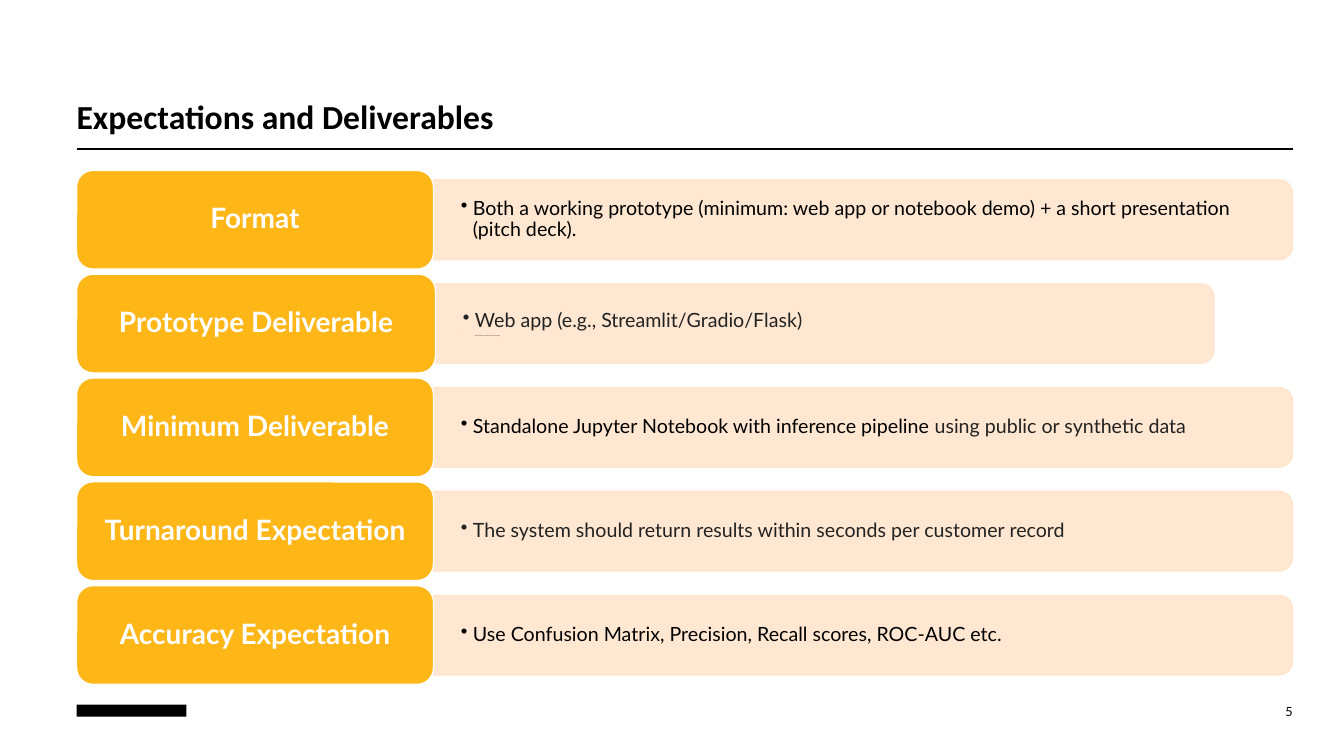
from lxml import etree
from pptx import Presentation, util as u
from pptx.dml.color import RGBColor
from pptx.enum import shapes, text
from pptx.oxml import ns

COLORS = {"black": "000000", "dark": "222222", "white": "FFFFFF",
          "amber": "FFB617", "peach": "FFE5CC"}
TITLE = {"size": u.Pt(24), "name": "Calibri", "bold": True}
LABEL = {"size": u.Pt(20), "name": "Lato", "bold": True}
BODY = {"size": u.Pt(14), "name": "Lato"}
TINY = {"size": u.Pt(1), "name": "Lato"}
NUMBER = {"size": u.Pt(9), "name": "Lato"}

ROWS = [
    ("Format", 3.54, 8.52, [[
        ("Both a working prototype (minimum: web app or notebook demo) + "
         "a short presentation (pitch deck).", BODY, "black")]]),
    ("Prototype Deliverable", 3.56, 7.72, [
        [("Web app (e.g., Streamlit/Gradio/Flask)", BODY, "dark")],
        [("API endpoint or notebook for backend logic ", TINY, "dark")]]),
    ("Minimum Deliverable", 3.54, 8.52, [[
        ("Standalone Jupyter Notebook with inference pipeline", BODY, "black"),
        (" using public or synthetic data", BODY, "dark")]]),
    ("Turnaround Expectation", 3.54, 8.52, [[
        ("The system should return results within seconds per customer record",
         BODY, "dark")]]),
    ("Accuracy Expectation", 3.54, 8.52, [[
        ("Use Confusion Matrix, Precision, Recall scores, ROC-AUC etc.",
         BODY, "black")]]),
]
LEFT, TOP, PITCH = 0.76, 1.69, 1.03
LABEL_H, BAND_H, TEXT_H = 0.98, 0.79, 0.71


def write(sp, paragraphs, anchor, align, margins=(0, 0), bullet=False):
    tf = sp.text_frame
    tf.word_wrap = True
    tf.vertical_anchor = anchor
    tf.margin_left = tf.margin_right = u.Inches(margins[0])
    tf.margin_top = tf.margin_bottom = u.Inches(margins[1])
    for i, runs in enumerate(paragraphs):
        p = tf.paragraphs[0] if i == 0 else tf.add_paragraph()
        p.alignment = align
        p.line_spacing = 0.9
        if i < len(paragraphs) - 1:
            p.space_after = u.Pt(2)
        if bullet:
            pPr = p._p.get_or_add_pPr()
            pPr.set("marL", str(u.Inches(0.12)))
            pPr.set("indent", str(u.Inches(-0.12)))
            etree.SubElement(pPr, ns.qn("a:buChar"), char="•")
        for words, style, color in runs:
            r = p.add_run()
            r.text = words
            for name, value in style.items():
                setattr(r.font, name, value)
            r.font.color.rgb = RGBColor.from_string(COLORS[color])


def add_box(kind, left, top, width, height, fill, line=None, alpha=None):
    sp = s.shapes.add_shape(kind, *map(u.Inches, (left, top, width, height)))
    sp.shadow.inherit = False
    sp.fill.solid()
    sp.fill.fore_color.rgb = RGBColor.from_string(COLORS[fill])
    if line:
        sp.line.color.rgb = RGBColor.from_string(COLORS[line])
        sp.line.width = u.Pt(1)
    else:
        sp.line.fill.background()
    if alpha:
        for clr in sp._element.spPr.iter(ns.qn("a:srgbClr")):
            etree.SubElement(clr, ns.qn("a:alpha"), val=str(alpha * 1000))
    return sp


prs = Presentation()
prs.slide_width = u.Inches(13.33)
prs.slide_height = u.Inches(7.5)
s = prs.slides.add_slide(prs.slide_layouts[6])

rule = s.shapes.add_connector(shapes.MSO_CONNECTOR.STRAIGHT, u.Inches(LEFT),
                              u.Inches(1.48), u.Inches(12.82), u.Inches(1.48))
rule.line.color.rgb = RGBColor.from_string(COLORS["black"])
rule.line.width = u.Pt(1)
etree.SubElement(rule._element.spPr, ns.qn("a:effectLst"))

add_box(shapes.MSO_SHAPE.RECTANGLE, LEFT, 6.99, 1.09, 0.12, "black")

number = s.shapes.add_textbox(*map(u.Inches, (12.28, 6.99, 0.54, 0.15)))
write(number, [[("5", NUMBER, "black")]],
      text.MSO_ANCHOR.MIDDLE, text.PP_ALIGN.RIGHT)

title = s.shapes.add_textbox(*map(u.Inches, (LEFT, 0.39, 8.85, 0.97)))
write(title, [[("Expectations and Deliverables", TITLE, "black")]],
      text.MSO_ANCHOR.BOTTOM, text.PP_ALIGN.LEFT)

for i, (name, label_w, band_w, paragraphs) in enumerate(ROWS):
    top = TOP + i * PITCH
    middle = top + LABEL_H / 2
    band_left = LEFT + label_w

    band = add_box(shapes.MSO_SHAPE.ROUND_2_SAME_RECTANGLE,
                   band_left + (band_w - BAND_H) / 2, middle - band_w / 2,
                   BAND_H, band_w, "peach", "peach", 90)
    band.rotation = 90

    detail = s.shapes.add_textbox(*map(u.Inches, (
        band_left, middle - TEXT_H / 2, band_w - 0.04, TEXT_H)))
    write(detail, paragraphs, text.MSO_ANCHOR.MIDDLE, text.PP_ALIGN.LEFT,
          (0.27, 0.14), True)

    label = add_box(shapes.MSO_SHAPE.ROUNDED_RECTANGLE, LEFT, top,
                    label_w, LABEL_H, "amber", "white")
    write(label, [[(name, LABEL, "white")]], text.MSO_ANCHOR.MIDDLE,
          text.PP_ALIGN.CENTER, (0.08, 0.04))

prs.save("out.pptx")
